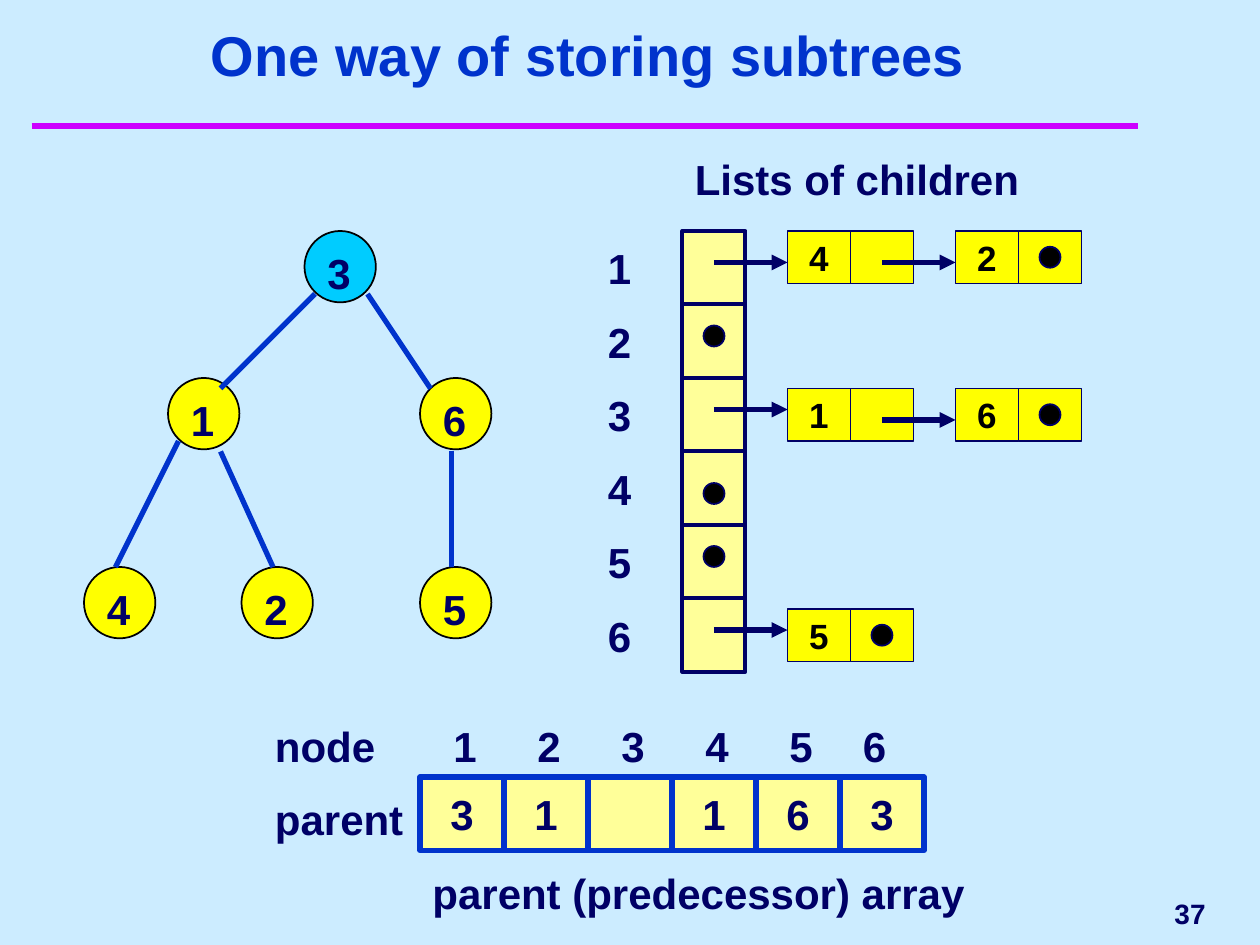
from dataclasses import dataclass
from typing import NamedTuple, Optional

from lxml.etree import SubElement
from pptx import Presentation
from pptx.dml.color import RGBColor
from pptx.enum.shapes import MSO_CONNECTOR as Connector, MSO_SHAPE as Preset
from pptx.enum.text import MSO_ANCHOR as Anchor, MSO_AUTO_SIZE as AutoSize, PP_ALIGN as Align
from pptx.oxml.ns import qn
from pptx.util import Emu, Pt

EMU_PER_PX = 7620


@dataclass(frozen=True)
class Theme:
    font: str = "Arial"
    background: str = "CCECFF"
    navy: str = "000066"
    blue: str = "0033CC"
    magenta: str = "CC00FF"
    yellow: str = "FFFF00"
    cream: str = "FFFF99"
    cyan: str = "00CCFF"
    black: str = "000000"
    title_size: int = 32
    label_size: int = 24
    cell_size: int = 20
    number_size: int = 16


THEME = Theme()


class Box(NamedTuple):
    left: int
    top: int
    width: int
    height: int


class Look(NamedTuple):
    fill: str
    line: str
    weight: float


class TreeNode(NamedTuple):
    value: str
    left: int
    top: int
    fill: str = THEME.yellow


class Edge(NamedTuple):
    x1: int
    y1: int
    x2: int
    y2: int


class Slot(NamedTuple):
    children: str = ""
    chain_drop: int = 0
    dot_drop: int = 20


class Label(NamedTuple):
    text: str
    box: Box


SLOT = Look(THEME.cream, THEME.navy, 2.25)
LIST_CELL = Look(THEME.yellow, THEME.navy, 1)
DOT = Look(THEME.black, THEME.navy, 1)
PARENT_CELL = Look(THEME.cream, THEME.blue, 3)

ROOT = TreeNode("3", 290, 220, THEME.cyan)
DESCENDANTS = (
    TreeNode("1", 160, 360),
    TreeNode("2", 230, 540),
    TreeNode("6", 400, 360),
    TreeNode("5", 400, 540),
    TreeNode("4", 80, 540),
)
EDGES = (
    Edge(300, 280, 210, 370),
    Edge(350, 280, 410, 370),
    Edge(170, 420, 110, 540),
    Edge(210, 430, 260, 540),
    Edge(430, 430, 430, 540),
)
SLOTS = (Slot("42"), Slot(), Slot("16", 10), Slot(dot_drop=30), Slot(), Slot("5", 10))
PARENTS = ("3", "1", "", "1", "6", "3")
INDEX_LEFTS = (420, 500, 580, 660, 740, 810)
LABELS = (
    Label("Lists of children", Box(650, 140, 430, 60)),
    Label("parent (predecessor) array", Box(400, 820, 680, 60)),
    Label("node", Box(250, 680, 200, 60)),
    Label("parent", Box(250, 750, 200, 60)),
)


def px(length: int) -> Emu:
    return Emu(length * EMU_PER_PX)


def rgb(code: str) -> RGBColor:
    return RGBColor.from_string(code)


def write(frame, text: str, size: int, color: str = THEME.navy, align=Align.LEFT,
          anchor=Anchor.TOP, wrap: bool = True) -> None:
    frame.auto_size = AutoSize.NONE
    frame.word_wrap = wrap
    frame.vertical_anchor = anchor
    paragraph = frame.paragraphs[0]
    paragraph.alignment = align
    run = paragraph.add_run()
    run.text = text
    run.font.name = THEME.font
    run.font.size = Pt(size)
    run.font.bold = True
    run.font.color.rgb = rgb(color)


def add_text(slide, text: str, box: Box, size: int = THEME.label_size, **layout) -> None:
    frame = slide.shapes.add_textbox(*map(px, box)).text_frame
    write(frame, text, size, **layout)


def add_block(slide, preset, box: Box, look: Look):
    block = slide.shapes.add_shape(preset, *map(px, box))
    block.shadow.inherit = False
    block.fill.solid()
    block.fill.fore_color.rgb = rgb(look.fill)
    block.line.color.rgb = rgb(look.line)
    block.line.width = Pt(look.weight)
    return block


def add_cell(slide, box: Box, look: Look, text: str = "",
             size: int = THEME.label_size, color: str = THEME.navy) -> None:
    cell = add_block(slide, Preset.RECTANGLE, box, look)
    if text:
        write(cell.text_frame, text, size, color, Align.CENTER, Anchor.MIDDLE, False)


def add_line(slide, edge: Edge, color: str, weight: float = 3, arrow: bool = False) -> None:
    line = slide.shapes.add_connector(Connector.STRAIGHT, *map(px, edge))
    line.line.color.rgb = rgb(color)
    line.line.width = Pt(weight)
    if arrow:
        SubElement(line.line._get_or_add_ln(), qn("a:tailEnd"), type="triangle")
    SubElement(line._element.spPr, qn("a:effectLst"))


def add_dot(slide, left: int, top: int) -> None:
    add_block(slide, Preset.OVAL, Box(left, top, 20, 20), DOT)


def add_tree_node(slide, node: TreeNode) -> None:
    circle = add_block(slide, Preset.OVAL, Box(node.left, node.top, 68, 68),
                       Look(node.fill, THEME.black, 1))
    write(circle.text_frame, node.value, THEME.label_size)


def add_tree(slide) -> None:
    for node in DESCENDANTS:
        add_tree_node(slide, node)
    for edge in EDGES:
        add_line(slide, edge, THEME.blue)
    add_tree_node(slide, ROOT)


def add_chain(slide, children: str, top: int) -> None:
    for position, child in enumerate(children):
        left = 750 + 160 * position
        add_cell(slide, Box(left, top, 60, 50), LIST_CELL, child, THEME.cell_size, THEME.black)
        add_cell(slide, Box(left + 60, top, 60, 50), LIST_CELL)
        if position < len(children) - 1:
            add_line(slide, Edge(left + 90, top + 30, left + 160, top + 30), THEME.navy, arrow=True)
        else:
            add_dot(slide, left + 80, top + 15)


def add_child_lists(slide) -> None:
    for row, slot in enumerate(SLOTS):
        top = 220 + 70 * row
        add_cell(slide, Box(650, top, 60, 70), SLOT)
        add_text(slide, str(row + 1), Box(560, top, 60, 70), align=Align.CENTER,
                 anchor=Anchor.MIDDLE, wrap=False)
        if slot.children:
            add_line(slide, Edge(680, top + 30, 750, top + 30), THEME.navy, arrow=True)
            add_chain(slide, slot.children, top + slot.chain_drop)
        else:
            add_dot(slide, 670, top + slot.dot_drop)


def add_parent_array(slide) -> None:
    for column, (parent, index_left) in enumerate(zip(PARENTS, INDEX_LEFTS)):
        add_cell(slide, Box(400 + 80 * column, 740, 80, 70), PARENT_CELL, parent)
        add_text(slide, str(column + 1), Box(index_left, 680, 50, 60))


def main() -> None:
    deck = Presentation()
    deck.slide_width, deck.slide_height = px(1200), px(900)
    slide = deck.slides.add_slide(deck.slide_layouts[5])
    slide.background.fill.solid()
    slide.background.fill.fore_color.rgb = rgb(THEME.background)
    heading = slide.shapes.title
    heading.left, heading.top, heading.width, heading.height = map(px, Box(50, 40, 1020, 50))
    write(heading.text_frame, "One way of storing subtrees", THEME.title_size, THEME.blue,
          Align.CENTER, Anchor.BOTTOM)
    add_line(slide, Edge(30, 120, 1084, 120), THEME.magenta, 4)
    add_tree(slide)
    add_child_lists(slide)
    add_parent_array(slide)
    for label in LABELS:
        add_text(slide, label.text, label.box)
    add_text(slide, "37", Box(930, 840, 230, 60), THEME.number_size, align=Align.RIGHT,
             anchor=Anchor.MIDDLE, wrap=False)
    deck.save("out.pptx")


if __name__ == "__main__":
    main()
